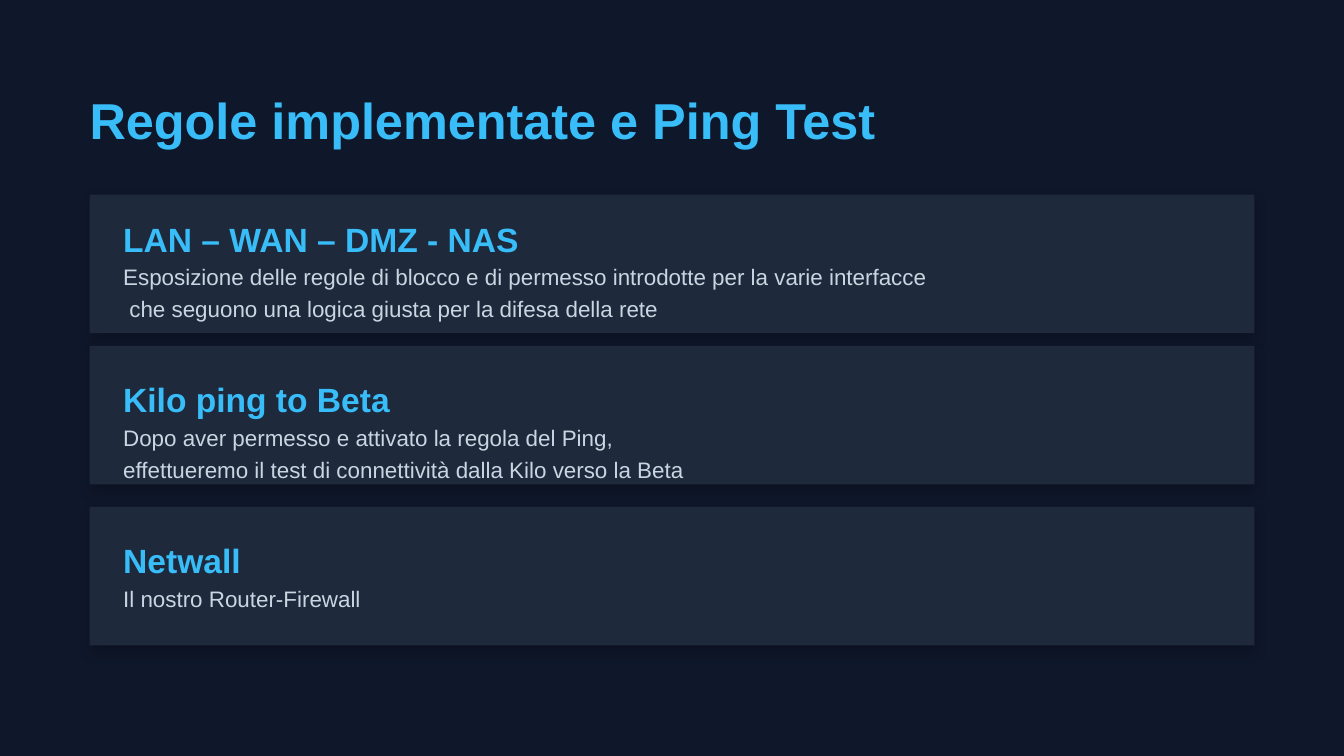
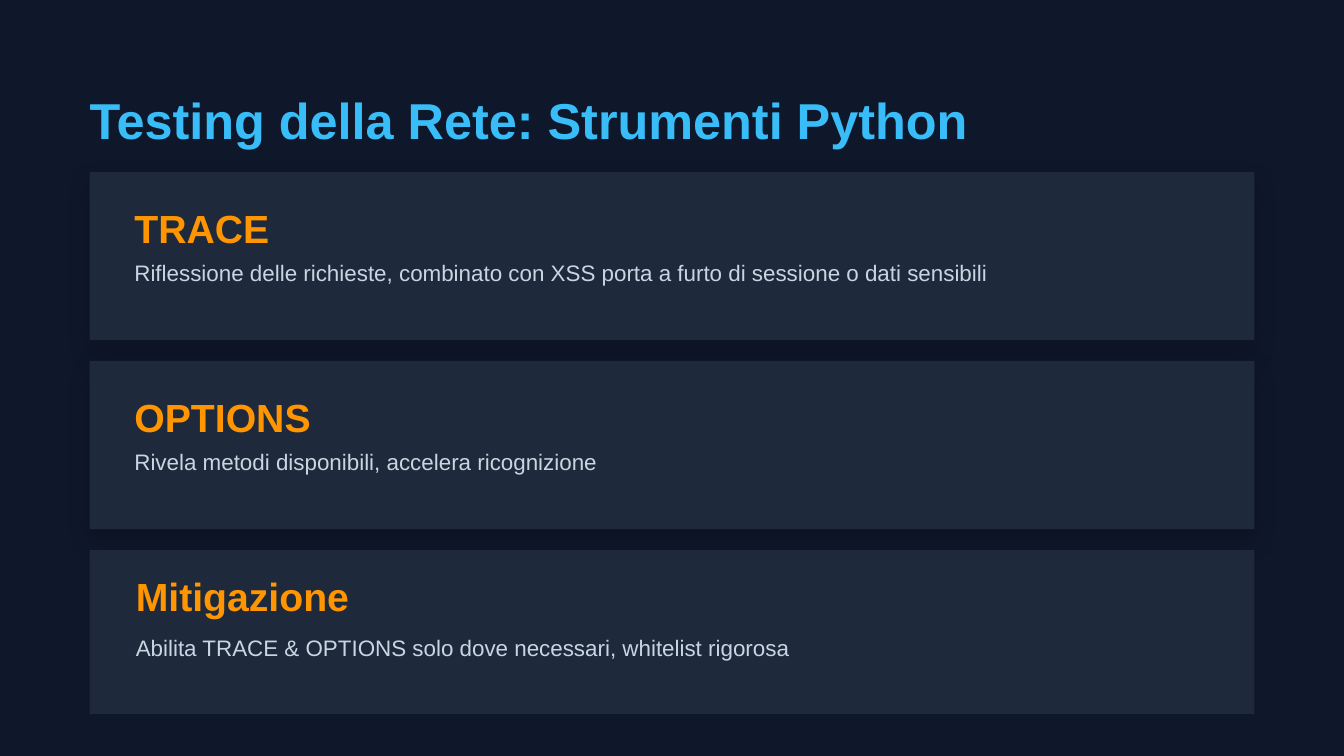
"""Builds two dark slides of cards on firewall rules and network tests."""
import lxml.etree
import pptx
import pptx.dml.color
import pptx.enum.shapes
import pptx.enum.text
import pptx.oxml.ns
import pptx.util

RGB = pptx.dml.color.RGBColor
NAVY = RGB(0x0F, 0x17, 0x2A)
SLATE = RGB(0x1E, 0x29, 0x3B)
SKY = RGB(0x38, 0xBD, 0xF8)
AMBER = RGB(0xFF, 0x95, 0x00)
MIST = RGB(0xCB, 0xD5, 0xE1)
FONT = "Arial"
SCALE = 9525
EDGE, WIDE = 64, 832


def px(*sizes):
    return [pptx.util.Emu(size * SCALE) for size in sizes]


class Deck:
    """Holds the style and the current slide."""

    def __init__(self):
        self.file = pptx.Presentation()
        self.file.slide_width, self.file.slide_height = px(960, 540)
        self.slide = None

    def page(self, title, width, height):
        self.slide = self.file.slides.add_slide(self.file.slide_layouts[5])
        fill = self.slide.background.fill
        fill.solid()
        fill.fore_color.rgb = NAVY
        head = self.slide.shapes.title
        head.left, head.top, head.width, head.height = px(EDGE, 64, width, height)
        self.put(head.text_frame, [title], 27, SKY, True, 32.4)

    def put(self, frame, lines, size, color, bold, lead=None, pad=(0, 0)):
        frame.word_wrap = True
        frame.auto_size = pptx.enum.text.MSO_AUTO_SIZE.NONE
        frame.vertical_anchor = pptx.enum.text.MSO_ANCHOR.TOP
        frame.margin_left, frame.margin_top = px(*pad)
        frame.margin_right, frame.margin_bottom = px(*pad)
        frame.text = "\n".join(lines)
        for para in frame.paragraphs:
            para.alignment = pptx.enum.text.PP_ALIGN.LEFT
            if lead:
                para.line_spacing = pptx.util.Pt(lead)
            font = para.font
            font.name, font.size, font.bold = FONT, pptx.util.Pt(size), bold
            font.color.rgb = color

    def text(self, box, lines, size, color, bold=False, lead=None, pad=(0, 0)):
        frame = self.slide.shapes.add_textbox(*px(*box)).text_frame
        self.put(frame, lines, size, color, bold, lead, pad)
        return frame

    def card(self, top, height, blur=0):
        kind = pptx.enum.shapes.MSO_SHAPE.RECTANGLE
        card = self.slide.shapes.add_shape(kind, *px(EDGE, top, WIDE, height))
        card.fill.solid()
        card.fill.fore_color.rgb = SLATE
        card.line.fill.background()
        card.shadow.inherit = False
        if blur:
            self.shade(card, blur)

    def shade(self, card, blur):
        name = pptx.oxml.ns.qn
        effects = card._element.spPr.find(name("a:effectLst"))
        glow = lxml.etree.SubElement(
            effects, name("a:outerShdw"), blurRad=str(pptx.util.Pt(blur)),
            dist=str(pptx.util.Pt(blur / 2)), dir="5400000",
            algn="ctr", rotWithShape="0")
        tint = lxml.etree.SubElement(glow, name("a:srgbClr"), val="000000")
        lxml.etree.SubElement(tint, name("a:alpha"), val="20000")


def rules(deck):
    deck.page("Regole implementate e Ping Test", 818, 61)
    cards = [
        (139, 156, "LAN – WAN – DMZ - NAS",
         ["Esposizione delle regole di blocco e di permesso introdotte per la varie interfacce",
          " che seguono una logica giusta per la difesa della rete"]),
        (247, 271, "Kilo ping to Beta",
         ["Dopo aver permesso e attivato la regola del Ping,",
          "effettueremo il test di connettività dalla Kilo verso la Beta"]),
        (362, 386, "Netwall", ["Il nostro Router-Firewall"]),
    ]
    for top, head, name, lines in cards:
        deck.card(top, 99, 6)
        deck.text((88, head, 800, 29), [name], 18, SKY, True, 21.6)
        deck.text((88, head + 29, 800, 22), lines, 12, MIST, lead=16.8)


def tests(deck):
    deck.page("Testing della Rete: Strumenti Python", 849, 43)
    cards = [
        (123, 36, 37, "TRACE",
         "Riflessione delle richieste, combinato con XSS porta a furto di sessione o dati sensibili"),
        (258, 52, 42, "OPTIONS", "Rivela metodi disponibili, accelera ricognizione"),
    ]
    for top, tall, deep, name, line in cards:
        deck.card(top, 120, 12)
        deck.text((96, top + 23, 783, tall), [name], 21, AMBER, True, 25.2)
        deck.text((96, top + 59, 783, deep), [line], 12, MIST, lead=16.8)
    deck.card(393, 117)
    grow = pptx.enum.text.MSO_AUTO_SIZE.SHAPE_TO_FIT_TEXT
    name = deck.text((87, 404, 393, 43), ["Mitigazione"], 21, AMBER, True, pad=(10, 5))
    line = deck.text((87, 448, 706, 29),
                     ["Abilita TRACE & OPTIONS solo dove necessari, whitelist rigorosa"],
                     12, MIST, pad=(10, 5))
    name.auto_size = line.auto_size = grow


def main():
    deck = Deck()
    rules(deck)
    tests(deck)
    deck.file.save("out.pptx")


if __name__ == "__main__":
    main()
